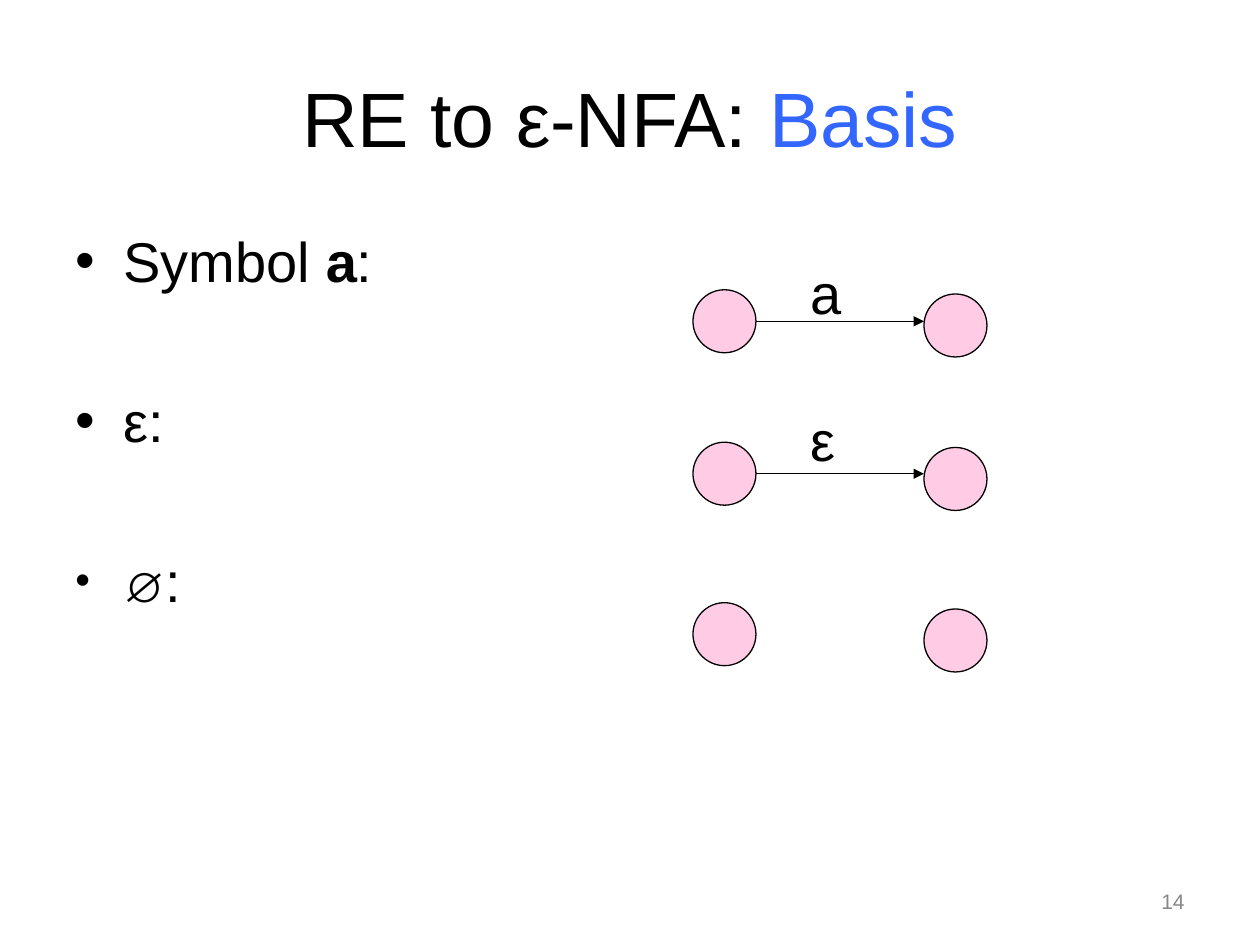
from pptx import Presentation
from pptx.dml.color import RGBColor
from pptx.enum.dml import MSO_LINE
from pptx.enum.shapes import MSO_CONNECTOR, MSO_SHAPE
from pptx.enum.text import MSO_ANCHOR as ANCHOR, PP_ALIGN as ALIGN
from pptx.oxml.ns import qn
from pptx.util import Inches, Pt
from lxml.etree import SubElement
from dataclasses import dataclass


@dataclass(frozen=True)
class Theme:
    font: str = "Arial"
    ink: str = "000000"
    accent: str = "3366FF"
    muted: str = "888888"
    state: str = "FF99CC"
    state_alpha: int = 50
    title: int = 44
    body: int = 32
    small: int = 24
    footer: int = 12
    line: float = 0.75


T = Theme()

# Paragraphs are lists of runs: (text, format)
TITLE = [[("RE to ε-NFA: ", {}), ("Basis", {"color": T.accent})]]
CASES = [
    [("Symbol ", {}), ("a", {"bold": True}), (":", {})],
    [("ε:", {})],
    [("∅", {"size": T.small}), (":", {})],
]
NUMBER = [[("14", {})]]

# Row of the left state, drop of the right state, arrow label, label row
AUTOMATA = [
    (13.8, 0.2, "a", 12),
    (21.06, 0.25, "ε", 19),
    (28.7, 0.3, None, None),
]

# Grid of 60 columns by 45 rows, six to the inch
COLS, ROWS, UNIT = 60, 45, Inches(1) // 6
START_COL, END_COL, LABEL_COL, STATE = 33, 44, 38, 3
CASE_GAP, INDENT = 53, Inches(0.38)


def grid(*cells):
    return [round(c * UNIT) for c in cells]


def rgb(color):
    return RGBColor.from_string(color)


def add_bullet(p):
    pPr = p._p.get_or_add_pPr()
    pPr.set("marL", str(INDENT))
    pPr.set("indent", str(-INDENT))
    color = SubElement(pPr, qn("a:buClr"))
    SubElement(color, qn("a:srgbClr"), val=T.ink)
    SubElement(pPr, qn("a:buFont"), typeface=T.font)
    SubElement(pPr, qn("a:buChar"), char="•")


def add_text(s, box, paragraphs, size=T.body, color=T.ink, align=ALIGN.LEFT,
             anchor=ANCHOR.TOP, bullets=False, gap=0, wrap=True):
    tf = s.shapes.add_textbox(*grid(*box)).text_frame
    tf.word_wrap = wrap
    tf.vertical_anchor = anchor
    for i, runs in enumerate(paragraphs):
        p = tf.add_paragraph() if i else tf.paragraphs[0]
        p.alignment = align
        if i and gap:
            p.space_before = Pt(gap)
        if bullets:
            add_bullet(p)
        for text, fmt in runs:
            r = p.add_run()
            r.text = text
            r.font.name = T.font
            r.font.size = Pt(fmt.get("size", size))
            r.font.bold = fmt.get("bold", False)
            r.font.color.rgb = rgb(fmt.get("color", color))


def add_state(s, col, row):
    sp = s.shapes.add_shape(MSO_SHAPE.OVAL, *grid(col, row, STATE, STATE))
    sp.shadow.inherit = False
    sp.fill.solid()
    sp.fill.fore_color.rgb = rgb(T.state)
    fill = sp._element.spPr.find(qn("a:solidFill"))
    SubElement(fill[0], qn("a:alpha"), val=str(T.state_alpha * 1000))
    sp.line.color.rgb = rgb(T.ink)
    sp.line.width = Pt(T.line)


def add_arrow(s, row):
    ends = grid(START_COL + STATE, row, END_COL, row)
    sp = s.shapes.add_connector(MSO_CONNECTOR.STRAIGHT, *ends)
    sp.line.color.rgb = rgb(T.ink)
    sp.line.width = Pt(T.line)
    sp.line.dash_style = MSO_LINE.SOLID
    SubElement(sp.line._get_or_add_ln(), qn("a:tailEnd"), type="triangle")
    SubElement(sp._element.spPr, qn("a:effectLst"))


def main():
    prs = Presentation()
    prs.slide_width, prs.slide_height = grid(COLS, ROWS)
    s = prs.slides.add_slide(prs.slide_layouts[6])

    add_text(s, (43, 41.7, 14, 2.4), NUMBER, size=T.footer, color=T.muted,
             align=ALIGN.RIGHT, anchor=ANCHOR.MIDDLE)
    add_text(s, (3, 1.8, 54, 7.5), TITLE, size=T.title,
             align=ALIGN.CENTER, anchor=ANCHOR.MIDDLE)
    add_text(s, (3, 10.5, 54, 29.7), CASES, bullets=True, gap=CASE_GAP)

    for row, drop, label, label_row in AUTOMATA:
        add_state(s, START_COL, row)
        add_state(s, END_COL, row + drop)
        if label:
            add_arrow(s, row + STATE / 2)
            add_text(s, (LABEL_COL, label_row, 2.6, 3.8), [[(label, {})]],
                     wrap=False)

    prs.save("out.pptx")


if __name__ == "__main__":
    main()
